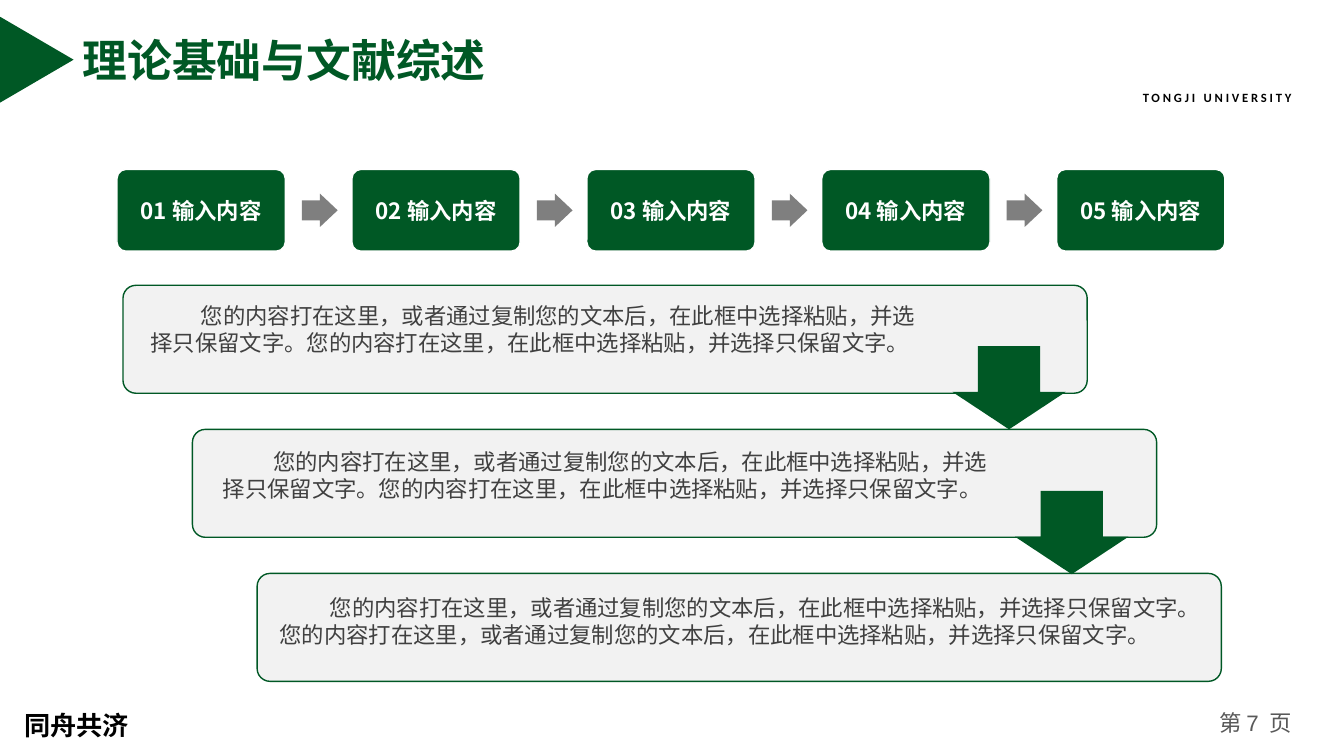
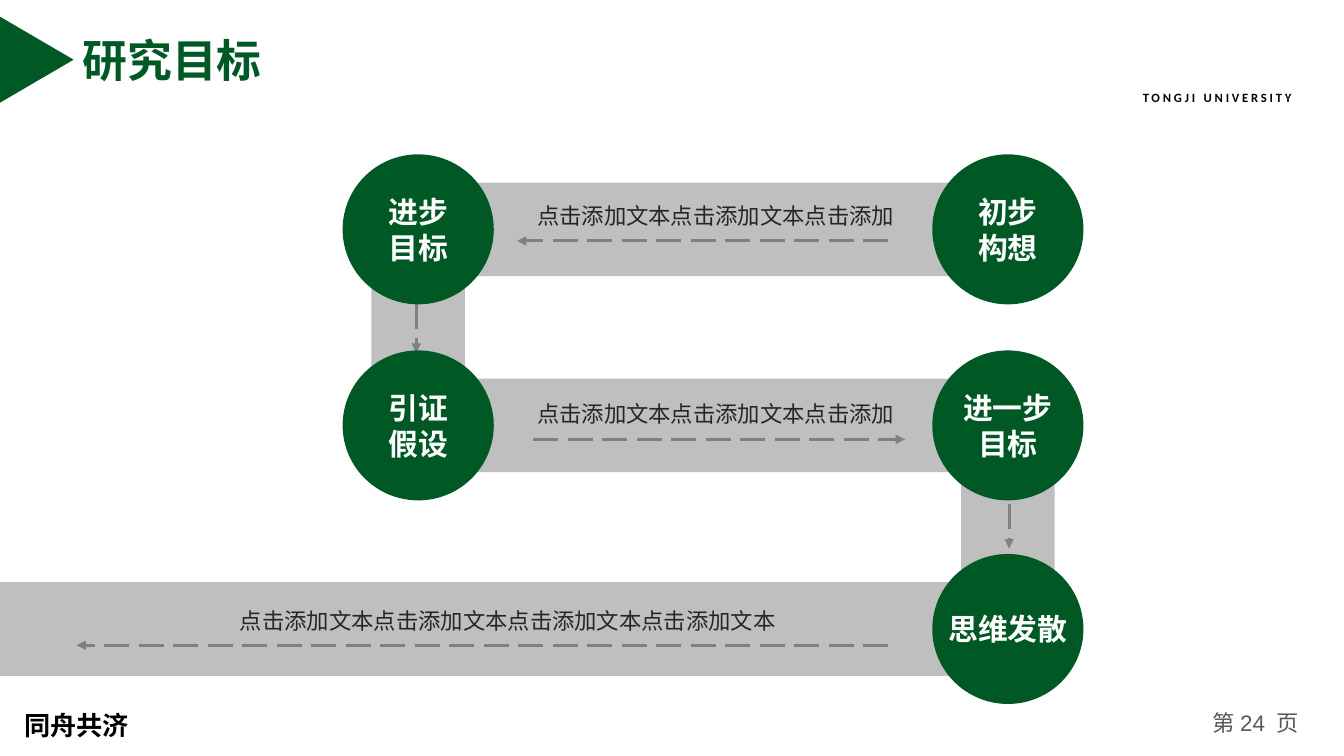
from lxml.etree import SubElement
from pptx import Presentation
from pptx.dml.color import RGBColor
from pptx.enum.dml import MSO_LINE
from pptx.enum.shapes import MSO_CONNECTOR, MSO_SHAPE
from pptx.enum.text import MSO_ANCHOR, PP_ALIGN
from pptx.oxml.ns import qn
from pptx.util import Cm, Pt

COLORS = {
    "green": "005825",
    "white": "FFFFFF",
    "black": "000000",
    "panel": "F2F2F2",
    "band": "BFBFBF",
    "dash": "808080",
    "arrow": "7F7F7F",
    "body": "404040",
    "label": "262626",
    "page": "595959",
}
CJK = "Noto Sans CJK SC"
INSETS = (0.25, 0.13, 0.25, 0.13)


def rgb(name):
    return RGBColor.from_string(COLORS[name])


def style(p, size, color, bold=False, font=CJK, spacing=None):
    f = p.font
    f.size, f.bold, f.name = Pt(size), bold, font
    f.color.rgb = rgb(color)
    props = p._p.pPr.find(qn("a:defRPr"))
    SubElement(props, qn("a:ea")).set("typeface", CJK)
    if spacing:
        props.set("spc", str(spacing * 100))


def write(sp, text, size, color, align=PP_ALIGN.LEFT, anchor=MSO_ANCHOR.TOP,
          wrap=True, insets=INSETS, indent=0, line_spacing=None, **look):
    tf = sp.text_frame
    tf.word_wrap, tf.vertical_anchor = wrap, anchor
    tf.margin_left, tf.margin_top, tf.margin_right, tf.margin_bottom = map(Cm, insets)
    for i, line in enumerate(text.split("\n")):
        p = tf.add_paragraph() if i else tf.paragraphs[0]
        p.alignment = align
        p.line_spacing = line_spacing
        if indent:
            p._p.get_or_add_pPr().set("indent", str(Cm(indent)))
        p.add_run().text = line
        style(p, size, color, **look)
    return tf


def add_text(s, box, text, size, color, **kw):
    sp = s.shapes.add_textbox(*map(Cm, box))
    write(sp, text, size, color, **kw)


def add_shape(s, kind, box, fill, line=None, adjust=()):
    sp = s.shapes.add_shape(kind, *map(Cm, box))
    sp.shadow.inherit = False
    sp.fill.solid()
    sp.fill.fore_color.rgb = rgb(fill)
    if line:
        sp.line.color.rgb = rgb(line)
        sp.line.width = Pt(1)
    else:
        sp.line.fill.background()
    for i, value in enumerate(adjust):
        sp.adjustments[i] = value
    return sp


def add_dashed_arrow(s, *ends):
    c = s.shapes.add_connector(MSO_CONNECTOR.STRAIGHT, *map(Cm, ends))
    c.line.color.rgb = rgb("dash")
    c.line.width = Pt(2.25)
    c.line.dash_style = MSO_LINE.LONG_DASH
    SubElement(c.line._get_or_add_ln(), qn("a:tailEnd")).set("type", "triangle")
    SubElement(c._element.spPr, qn("a:effectLst"))


def add_band(s, x1, y1, x2, y2, thickness=2.36):
    half = thickness / 2
    if y1 == y2:
        box = (x1, y1 - half, x2 - x1, thickness)
    else:
        box = (x1 - half, y1, thickness, y2 - y1)
    add_shape(s, MSO_SHAPE.RECTANGLE, box, "band")


def add_circle(s, x, y, text, width=3.81, height=3.78):
    box = (x - width / 2, y - height / 2, width, height)
    sp = add_shape(s, MSO_SHAPE.OVAL, box, "green")
    write(sp, text, 21.3, "white", align=PP_ALIGN.CENTER,
          anchor=MSO_ANCHOR.MIDDLE, wrap=False, bold=True, font="Arial")


def add_page_number(s, number):
    sp = s.shapes.add_textbox(Cm(30.12), Cm(17.73), Cm(3.05), Cm(1.02))
    tf = write(sp, "第 ", 16, "page", align=PP_ALIGN.CENTER)
    p = tf.paragraphs[0]
    r = p.add_run()
    r.text = f"{number} "
    r.font.name = "Arial"
    p.add_run().text = " 页"


def new_slide(prs, title, number):
    s = prs.slides.add_slide(prs.slide_layouts[6])
    add_page_number(s, number)
    add_text(s, (28.55, 2.13, 4.88, 0.61), "TONGJI UNIVERSITY", 9, "black",
             align=PP_ALIGN.JUSTIFY, bold=True, font="Calibri", spacing=2)
    add_text(s, (0.36, 17.35, 3.48, 1.35), "同舟共济", 18.7, "black",
             line_spacing=1.5, bold=True)
    add_text(s, (1.75, 0.66, 10.95, 1.7), title, 32, "green", wrap=False,
             anchor=MSO_ANCHOR.MIDDLE, insets=(0.33, 0.18, 0.33, 0.18),
             bold=True, font="Arial")
    sp = add_shape(s, MSO_SHAPE.ISOSCELES_TRIANGLE, (-0.15, 0.58, 2.16, 1.85), "green")
    sp.rotation = 90
    return s


def build_review(prs):
    s = new_slide(prs, "理论基础与文献综述", 7)
    short = ("您的内容打在这里，或者通过复制您的文本后，在此框中选择粘贴，并选择只保留文字。"
             "您的内容打在这里，在此框中选择粘贴，并选择只保留文字。")
    full = "您的内容打在这里，或者通过复制您的文本后，在此框中选择粘贴，并选择只保留文字。" * 2
    panels = [
        (3.1, short, (0.6, 0.32, 3.92, 0)),
        (4.85, short, (0.67, 0.37, 3.92, 0)),
        (6.48, full, (0.47, 0.42, 0.57, 0)),
    ]
    for i, (x, text, insets) in enumerate(panels):
        sp = add_shape(s, MSO_SHAPE.ROUNDED_RECTANGLE, (x, 7.19 + 3.63 * i, 24.3, 2.72),
                       "panel", "green", [0.12])
        write(sp, text, 16, "body", insets=insets, indent=1.27)

    for i in range(5):
        x = 2.95 + 5.92 * i
        sp = add_shape(s, MSO_SHAPE.ROUNDED_RECTANGLE, (x, 4.27, 4.24, 2.06),
                       "green", "white", [0.11])
        write(sp, f"{i + 1:02d} 输入内容", 16, "white", align=PP_ALIGN.CENTER,
              anchor=MSO_ANCHOR.MIDDLE, bold=True)
        if i < 4:
            add_shape(s, MSO_SHAPE.RIGHT_ARROW, (x + 4.66, 4.88, 0.9, 0.84),
                      "arrow", adjust=[0.6, 0.53])

    for i in range(2):
        add_shape(s, MSO_SHAPE.DOWN_ARROW, (24 + 1.58 * i, 8.72 + 3.65 * i, 2.86, 2.1),
                  "green", adjust=[0.55, 0.45])


def build_goals(prs):
    s = new_slide(prs, "研究目标", 24)
    left, right = 10.54, 25.4
    top, middle, bottom = 5.78, 10.72, 15.85

    for ends in [(0, bottom, right, bottom), (left, middle, right, middle),
                 (right, middle, right, bottom), (left, top, right, top),
                 (left, top, left, middle)]:
        add_band(s, *ends)

    for ends in [(22.38, 16.26, 1.93, 16.26), (13.44, 11.07, 22.81, 11.07),
                 (25.43, 12.7, 25.43, 13.82), (22.38, 6.07, 13.03, 6.07),
                 (10.49, 7.65, 10.49, 8.89)]:
        add_dashed_arrow(s, *ends)

    for x, y, text in [(right, top, "初步\n构想"), (left, top, "进步\n目标"),
                       (left, middle, "引证\n假设"), (right, middle, "进一步\n目标"),
                       (right, bottom, "思维发散")]:
        add_circle(s, x, y, text)

    row = "点击添加文本点击添加文本点击添加"
    for x, y, width, text in [(13.11, 4.95, 9.86, row), (13.11, 9.96, 9.86, row),
                              (3.23, 15.16, 19.15, "点击添加文本" * 4)]:
        add_text(s, (x, y, width, 0.94), text, 16, "label",
                 align=PP_ALIGN.CENTER, anchor=MSO_ANCHOR.MIDDLE)


def main():
    prs = Presentation()
    prs.slide_width, prs.slide_height = Cm(33.87), Cm(19.05)
    build_review(prs)
    build_goals(prs)
    prs.save("out.pptx")


if __name__ == "__main__":
    main()
